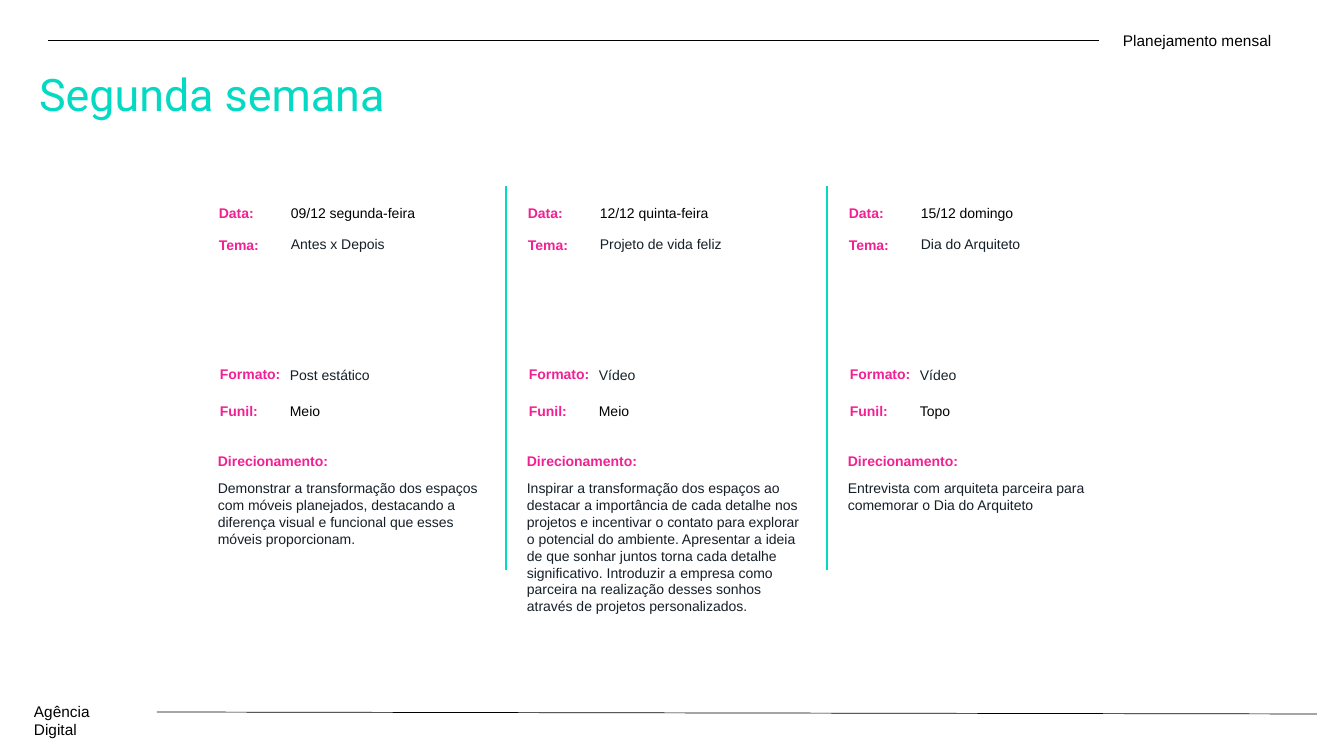
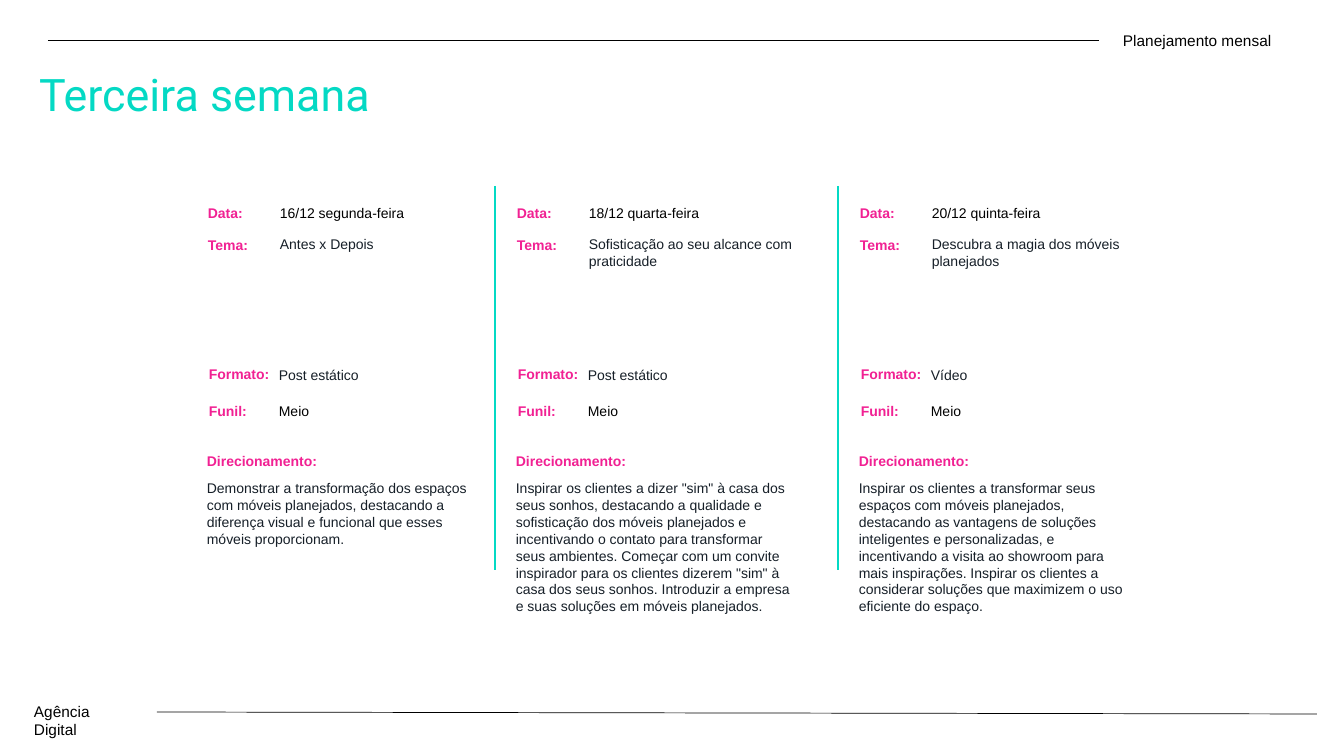
from dataclasses import dataclass

from lxml import etree
from pptx import Presentation, util as u
from pptx.dml.color import RGBColor
from pptx.enum import shapes, text
from pptx.oxml.ns import qn


@dataclass(frozen=True)
class Theme:
    teal: str = "04D9C4"
    pink: str = "F12193"
    ink: str = "161F28"
    black: str = "000000"
    head: str = "Roboto"
    body: str = "Arial"
    big: int = 32
    mid: int = 11
    small: int = 10
    thin: float = 0.5
    thick: float = 2


T = Theme()

ROWS = [
    ("Data:", 200, 200, 0, T.black),
    ("Tema:", 232, 231, 0, T.ink),
    ("Formato:", 361, 362, 1, T.ink),
    ("Funil:", 398, 398, 1, T.black),
]

WEEKS = [
    ("Segunda semana", (209, 518, 839), [
        (("09/12 segunda-feira", "Antes x Depois", "Post estático", "Meio"),
         "Demonstrar a transformação dos espaços com móveis planejados, "
         "destacando a diferença visual e funcional que esses móveis "
         "proporcionam."),
        (("12/12 quinta-feira", "Projeto de vida feliz", "Vídeo", "Meio"),
         "Inspirar a transformação dos espaços ao destacar a importância de "
         "cada detalhe nos projetos e incentivar o contato para explorar o "
         "potencial do ambiente. Apresentar a ideia de que sonhar juntos "
         "torna cada detalhe significativo. Introduzir a empresa como "
         "parceira na realização desses sonhos através de projetos "
         "personalizados."),
        (("15/12 domingo", "Dia do Arquiteto", "Vídeo", "Topo"),
         "Entrevista com arquiteta parceira para comemorar o Dia do "
         "Arquiteto"),
    ]),
    ("Terceira semana", (198, 507, 850), [
        (("16/12 segunda-feira", "Antes x Depois", "Post estático", "Meio"),
         "Demonstrar a transformação dos espaços com móveis planejados, "
         "destacando a diferença visual e funcional que esses móveis "
         "proporcionam."),
        (("18/12 quarta-feira", "Sofisticação ao seu alcance com praticidade",
          "Post estático", "Meio"),
         "Inspirar os clientes a dizer \"sim\" à casa dos seus sonhos, "
         "destacando a qualidade e sofisticação dos móveis planejados e "
         "incentivando o contato para transformar seus ambientes. Começar "
         "com um convite inspirador para os clientes dizerem \"sim\" à casa "
         "dos seus sonhos. Introduzir a empresa e suas soluções em móveis "
         "planejados."),
        (("20/12 quinta-feira", "Descubra a magia dos móveis planejados",
          "Vídeo", "Meio"),
         "Inspirar os clientes a transformar seus espaços com móveis "
         "planejados, destacando as vantagens de soluções inteligentes e "
         "personalizadas, e incentivando a visita ao showroom para mais "
         "inspirações. Inspirar os clientes a considerar soluções que "
         "maximizem o uso eficiente do espaço."),
    ]),
]


def px(n):
    return u.Emu(round(n * 914400 / 100.8))


def write(frame, words, size, color, font=T.body, bold=False):
    frame.word_wrap = True
    frame.vertical_anchor = text.MSO_ANCHOR.TOP
    para = frame.paragraphs[0]
    para.alignment = text.PP_ALIGN.LEFT
    run = para.add_run()
    run.text = words
    run.font.size = u.Pt(size)
    run.font.name = font
    run.font.bold = bold
    run.font.color.rgb = RGBColor.from_string(color)


def label(slide, words, x, y, w, h=27, size=T.small, color=T.ink, bold=False):
    box = slide.shapes.add_textbox(px(x), px(y), px(w), px(h))
    write(box.text_frame, words, size, color, bold=bold)


def rule(slide, x1, y1, x2, y2, color=T.black, width=T.thin):
    line = slide.shapes.add_connector(
        shapes.MSO_CONNECTOR.STRAIGHT, px(x1), px(y1), px(x2), px(y2))
    line.line.color.rgb = RGBColor.from_string(color)
    line.line.width = u.Pt(width)
    etree.SubElement(line._element.spPr, qn("a:effectLst"))


def frame(slide, title):
    head = slide.shapes.title
    head.left, head.top, head.width, head.height = map(px, (29, 62, 603, 65))
    write(head.text_frame, title, T.big, T.teal, T.head)
    rule(slide, 48, 40, 1099, 40)
    label(slide, "Planejamento mensal", 1113, 26, 211, 29, T.mid, T.black)
    label(slide, "Agência Digital", 24, 697, 119, 29, T.mid, T.black)
    rule(slide, 157, 712, 1317, 714)


def post(slide, x, values, brief):
    for (name, top, drop, dx, color), value in zip(ROWS, values):
        label(slide, name, x + dx, top, 85, color=T.pink, bold=True)
        label(slide, value, x + 72 - dx, drop, 224, color=color)
    label(slide, "Direcionamento:", x - 1, 448, 143, color=T.pink, bold=True)
    label(slide, brief, x - 1, 475, 297, 163)


def main():
    deck = Presentation()
    deck.slide_width, deck.slide_height = px(1344), px(756)
    for title, lefts, posts in WEEKS:
        slide = deck.slides.add_slide(deck.slide_layouts[5])
        frame(slide, title)
        for x, (values, brief) in zip(lefts, posts):
            post(slide, x, values, brief)
        for x in lefts[1:]:
            rule(slide, x - 12, 186, x - 12, 570, T.teal, T.thick)
    deck.save("out.pptx")


if __name__ == "__main__":
    main()
